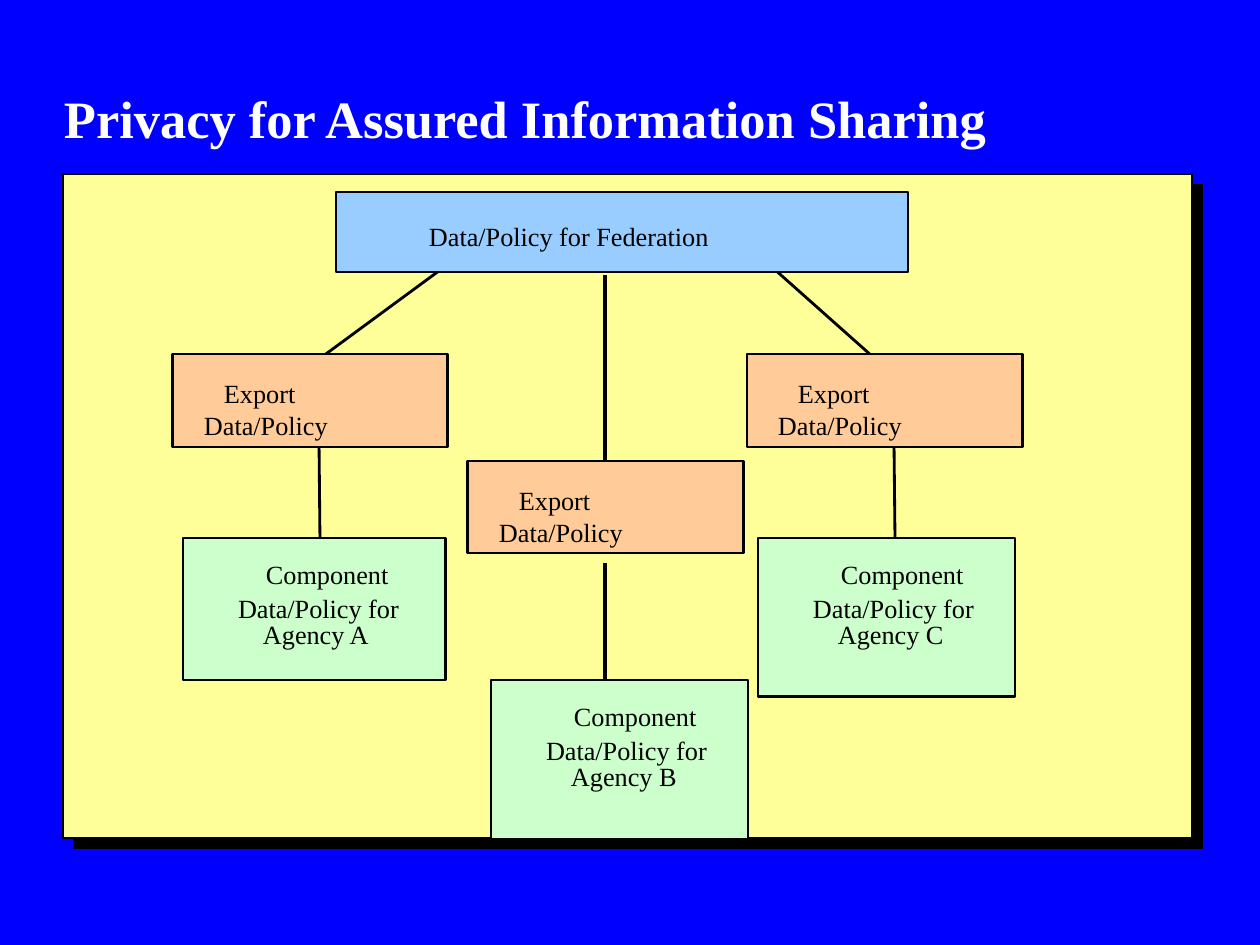
from dataclasses import dataclass

from lxml.etree import SubElement
from pptx import Presentation
from pptx.dml.color import RGBColor
from pptx.enum.shapes import MSO_CONNECTOR, MSO_SHAPE
from pptx.enum.text import MSO_ANCHOR
from pptx.oxml.ns import qn
from pptx.util import Emu, Pt


@dataclass(frozen=True)
class Theme:
    background = RGBColor.from_string("0000FF")
    panel = RGBColor.from_string("FFFF99")
    federation = RGBColor.from_string("99CCFF")
    export = RGBColor.from_string("FFCC99")
    component = RGBColor.from_string("CCFFCC")
    ink = RGBColor.from_string("000000")
    title = RGBColor.from_string("FFFFFF")
    font = "Times New Roman"
    title_size = Pt(30)
    label_size = Pt(15)
    thin = Pt(1)
    link = Pt(1.62)
    border = Pt(1.64)
    thick = Pt(2.38)


theme = Theme()
PX = 914400 / 126

prs = Presentation()
prs.slide_width, prs.slide_height = Emu(round(1260 * PX)), Emu(round(945 * PX))
slide = prs.slides.add_slide(prs.slide_layouts[6])
slide.background.fill.solid()
slide.background.fill.fore_color.rgb = theme.background


def add_box(bounds, fill, border):
    box = slide.shapes.add_shape(MSO_SHAPE.RECTANGLE, *(round(v * PX) for v in bounds))
    box.shadow.inherit = False
    box.fill.solid()
    box.fill.fore_color.rgb = fill
    box.line.color.rgb = theme.ink
    box.line.width = border
    return box


def add_label(bounds, text, size, color):
    """Add one unwrapped line of text without margins."""
    label = slide.shapes.add_textbox(*(round(v * PX) for v in bounds))
    frame = label.text_frame
    frame.margin_left = frame.margin_right = frame.margin_top = frame.margin_bottom = 0
    frame.word_wrap = False
    frame.text = text
    font = frame.paragraphs[0].runs[0].font
    font.name, font.size, font.color.rgb = theme.font, size, color
    return frame


# Panel with a hard shadow
panel = add_box((63, 174, 1129, 664), theme.panel, theme.thin)
effects = panel._element.spPr.find(qn("a:effectLst"))
shadow = SubElement(effects, qn("a:outerShdw"), dist=str(Pt(8.5)), dir="2700000",
                    algn="ctr", rotWithShape="0")
SubElement(shadow, qn("a:srgbClr"), val=str(theme.ink))

# Title
title = add_label((64, 24, 1125, 126), "Privacy for Assured Information Sharing",
                  theme.title_size, theme.title)
title.word_wrap = True
title.vertical_anchor = MSO_ANCHOR.BOTTOM
title.paragraphs[0].line_spacing = 0.87
title.paragraphs[0].runs[0].font.bold = True

# Links between the levels, behind the boxes
links = [
    (447, 265, 311, 365, theme.link),
    (746, 244, 882, 365, theme.link),
    (319, 438, 320, 538, theme.link),
    (894, 438, 895, 538, theme.link),
    (605, 461, 605, 275, theme.thick),
    (605, 680, 605, 563, theme.thick),
]
for *ends, width in links:
    link = slide.shapes.add_connector(MSO_CONNECTOR.STRAIGHT, *(round(v * PX) for v in ends))
    link.line.color.rgb = theme.ink
    link.line.width = width
    SubElement(link._element.spPr, qn("a:effectLst"))

# Federation
add_box((336, 192, 572, 80), theme.federation, theme.border)
add_label((429, 220, 284, 32), "Data/Policy for Federation", theme.label_size, theme.ink)

# Agencies: export box above component box
agencies = [
    ("A", (173, 354, 275, 93), (183, 538, 263, 142)),
    ("C", (747, 354, 276, 93), (758, 538, 257, 159)),
    ("B", (468, 461, 276, 92), (491, 680, 257, 159)),
]
for agency, export, component in agencies:
    # Each line: offset from the box's corner, width, text
    export_lines = [(51, 23, 76, "Export"), (31, 55, 130, "Data/Policy")]
    component_lines = [
        (83, 20, 130, "Component"),
        (55, 54, 168, "Data/Policy for"),
        (80, 80, 112, f"Agency {agency}"),
    ]
    for bounds, fill, lines in [(export, theme.export, export_lines),
                                (component, theme.component, component_lines)]:
        add_box(bounds, fill, theme.border)
        left, top = bounds[:2]
        for dx, dy, width, text in lines:
            add_label((left + dx, top + dy, width, 32), text, theme.label_size, theme.ink)

prs.save("out.pptx")
